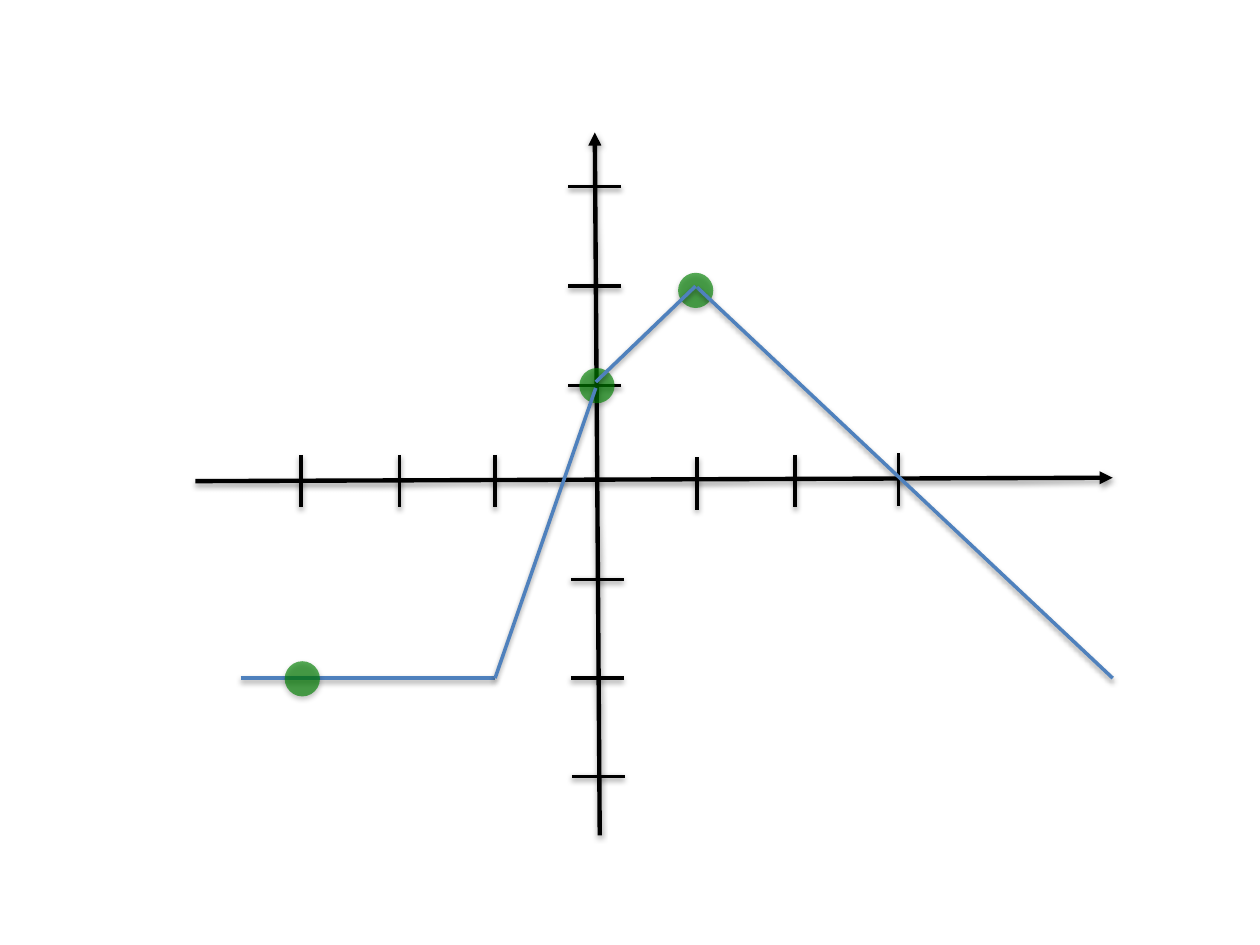
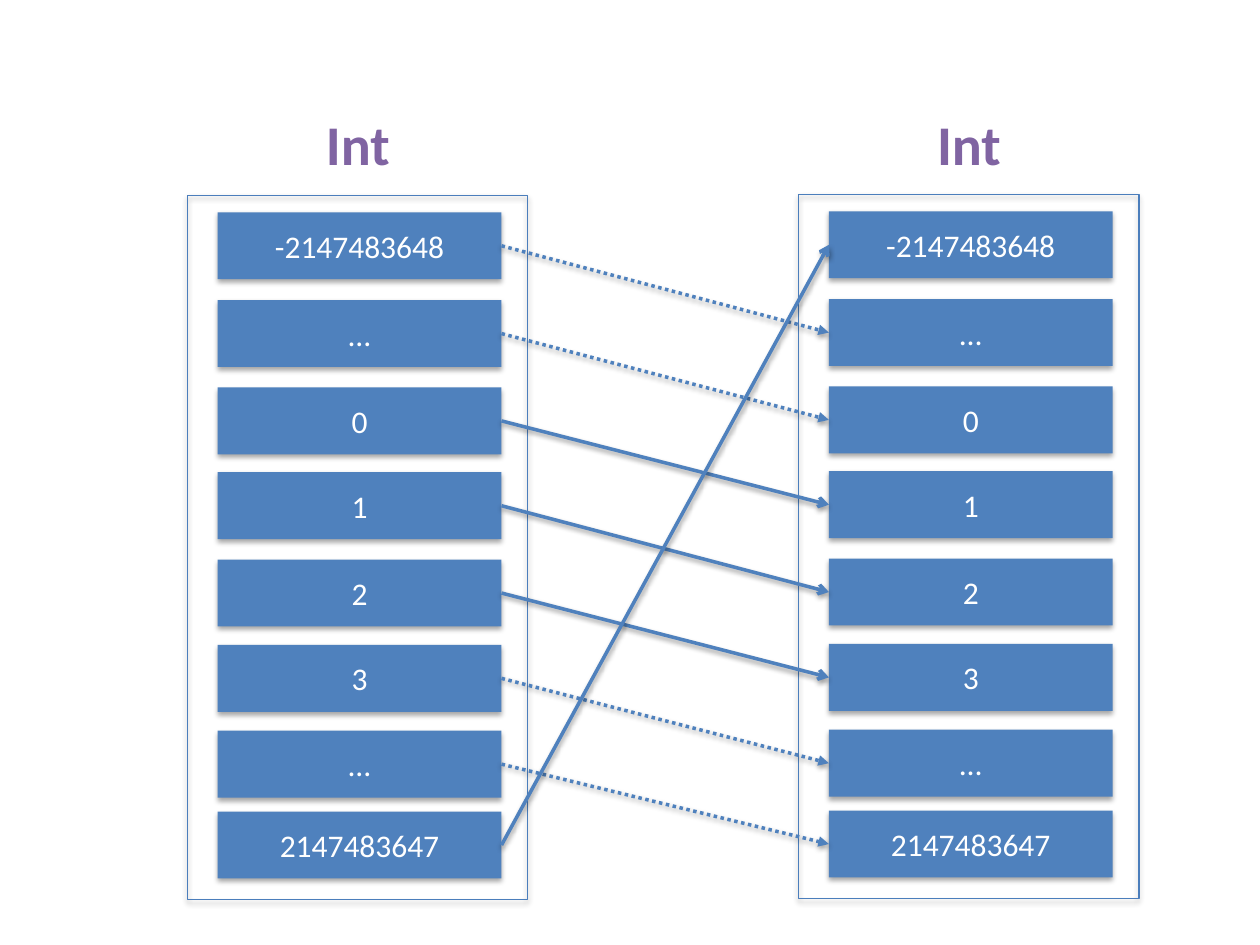
from dataclasses import dataclass

from lxml import etree
from pptx import Presentation
from pptx import util as u
from pptx.dml import color
from pptx.enum import dml, shapes, text
from pptx.oxml import ns


@dataclass(frozen=True)
class Theme:
    font: str = "Calibri"
    blue: str = "4F81BD"
    frame: str = "4B7EBC"
    axis: str = "000000"
    dot: str = "008000"
    heading: str = "8064A2"
    white: str = "FFFFFF"
    heading_size: float = 32
    cell_size: float = 18
    line_width: float = 2
    axis_width: float = 2.5
    frame_width: float = 0.75
    dot_opacity: int = 65


THEME = Theme()


def rgb(value):
    return color.RGBColor.from_string(value)


def sub(parent, tag, **attrs):
    return etree.SubElement(parent, ns.qn(tag), {k: str(v) for k, v in attrs.items()})


def write(tf, content, size, ink, bold=False, align=None):
    p = tf.paragraphs[0]
    p.alignment = align
    r = p.add_run()
    r.text = content
    r.font.name, r.font.size, r.font.bold = THEME.font, u.Pt(size), bold
    r.font.color.rgb = rgb(ink)


class Canvas:
    """Holds the theme and the current slide; all lengths are centimetres."""

    def __init__(self, prs, theme):
        self.prs, self.theme, self.s = prs, theme, None

    def new_slide(self):
        self.s = self.prs.slides.add_slide(self.prs.slide_layouts[6])

    def shadow(self, sp, opacity, distance):
        effects = sub(sp.element.spPr, "a:effectLst")
        outer = sub(effects, "a:outerShdw", blurRad=u.Pt(3.1), dist=u.Pt(distance),
                    dir=90 * 60000, rotWithShape=0)
        sub(sub(outer, "a:srgbClr", val="000000"), "a:alpha", val=opacity * 1000)

    def line(self, start, end, ink=None, width=None, head=None, dotted=False):
        ends = [u.Cm(v) for v in (*start, *end)]
        cn = self.s.shapes.add_connector(shapes.MSO_CONNECTOR.STRAIGHT, *ends)
        cn.line.color.rgb = rgb(ink or self.theme.blue)
        cn.line.width = u.Pt(width or self.theme.line_width)
        if dotted:
            cn.line.dash_style = dml.MSO_LINE.ROUND_DOT
        if head:
            sub(cn.element.spPr.find(ns.qn("a:ln")), "a:tailEnd", type=head)
        self.shadow(cn, 38, 1.6)
        return cn

    def shape(self, kind, box, fill=None, opacity=100, outline=None):
        sp = self.s.shapes.add_shape(kind, *[u.Cm(v) for v in box])
        if fill:
            sp.fill.solid()
            sp.fill.fore_color.rgb = rgb(fill)
            if opacity < 100:
                clr = sp.element.spPr.find(".//" + ns.qn("a:srgbClr"))
                sub(clr, "a:alpha", val=opacity * 1000)
        else:
            sp.fill.background()
        if outline:
            sp.line.color.rgb = rgb(outline)
            sp.line.width = u.Pt(self.theme.frame_width)
        else:
            sp.line.fill.background()
        self.shadow(sp, 35, 1.8)
        return sp

    def cell(self, box, content):
        sp = self.shape(shapes.MSO_SHAPE.RECTANGLE, box, fill=self.theme.blue)
        sp.text_frame.vertical_anchor = text.MSO_ANCHOR.MIDDLE
        write(sp.text_frame, content, self.theme.cell_size, self.theme.white,
              align=text.PP_ALIGN.CENTER)
        return sp

    def heading(self, box, content):
        tf = self.s.shapes.add_textbox(*[u.Cm(v) for v in box]).text_frame
        tf.word_wrap = False
        tf.auto_size = text.MSO_AUTO_SIZE.SHAPE_TO_FIT_TEXT
        write(tf, content, self.theme.heading_size, self.theme.heading, bold=True)


# Slide 1: piecewise linear function
TICK = 1.06
X_TICKS = [(6.07, 9.17), (8.05, 9.17), (9.98, 9.17), (14.05, 9.22), (16.03, 9.17), (18.11, 9.14)]
Y_TICKS = [(11.46, 7.77), (11.46, 5.77), (11.46, 3.76), (11.51, 11.68), (11.51, 13.67), (11.53, 15.65)]
DOT = 0.71
DOTS = [(13.67, 5.5), (11.68, 7.42), (5.74, 13.33)]
SEGMENTS = [((14.05, 5.79), (22.43, 13.67)), ((9.98, 13.67), (12.01, 7.82)),
            ((12.01, 7.7), (14.02, 5.77))]


def function_graph(c):
    t = c.theme
    c.new_slide()
    c.line((4.85, 13.67), (9.98, 13.67))
    # Axes and ticks
    for start, end in [((12.09, 16.84), (11.99, 2.67)), ((3.94, 9.7), (22.43, 9.63))]:
        c.line(start, end, t.axis, t.axis_width, head="triangle")
    for x, y in X_TICKS:
        c.line((x, y), (x, y + TICK), t.axis)
    for x, y in Y_TICKS:
        c.line((x, y), (x + TICK, y), t.axis)
    # Marked points lie beneath the graph
    for x, y in DOTS:
        c.shape(shapes.MSO_SHAPE.OVAL, (x, y, DOT, DOT), t.dot, t.dot_opacity)
    for start, end in SEGMENTS:
        c.line(start, end)


# Slide 2: successor mapping from Int to Int
ROWS = [("-2147483648", 4.28), ("…", 6.05), ("0", 7.81), ("1", 9.52),
        ("2", 11.28), ("3", 13), ("…", 14.73), ("2147483647", 16.36)]
SOLID_ROWS = {2, 3, 4, 7}
COLUMN_STEP = 12.32
LEFT_SITE, RIGHT_SITE = 1, 3


def int_column(c, dx, dy):
    c.heading((6.32 + dx, 2.08, 1.83, 1.63), "Int")
    c.shape(shapes.MSO_SHAPE.RECTANGLE, (3.78 + dx, 3.94 + dy, 6.86, 14.2),
            outline=c.theme.frame)
    return [c.cell((4.39 + dx, y + dy, 5.72, 1.35), label) for label, y in ROWS]


def successor_map(c):
    c.new_slide()
    sources = int_column(c, 0, 0)
    targets = int_column(c, COLUMN_STEP, -0.02)
    # Each value points to the next; the largest wraps to the smallest
    for i, source in enumerate(sources):
        solid = i in SOLID_ROWS
        arrow = c.line((0, 0), (1, 1), head="arrow" if solid else "triangle", dotted=not solid)
        arrow.begin_connect(source, RIGHT_SITE)
        arrow.end_connect(targets[(i + 1) % len(targets)], LEFT_SITE)


def main():
    prs = Presentation()
    prs.slide_width, prs.slide_height = u.Cm(25.4), u.Cm(19.05)
    c = Canvas(prs, THEME)
    function_graph(c)
    successor_map(c)
    prs.save("out.pptx")


if __name__ == "__main__":
    main()
